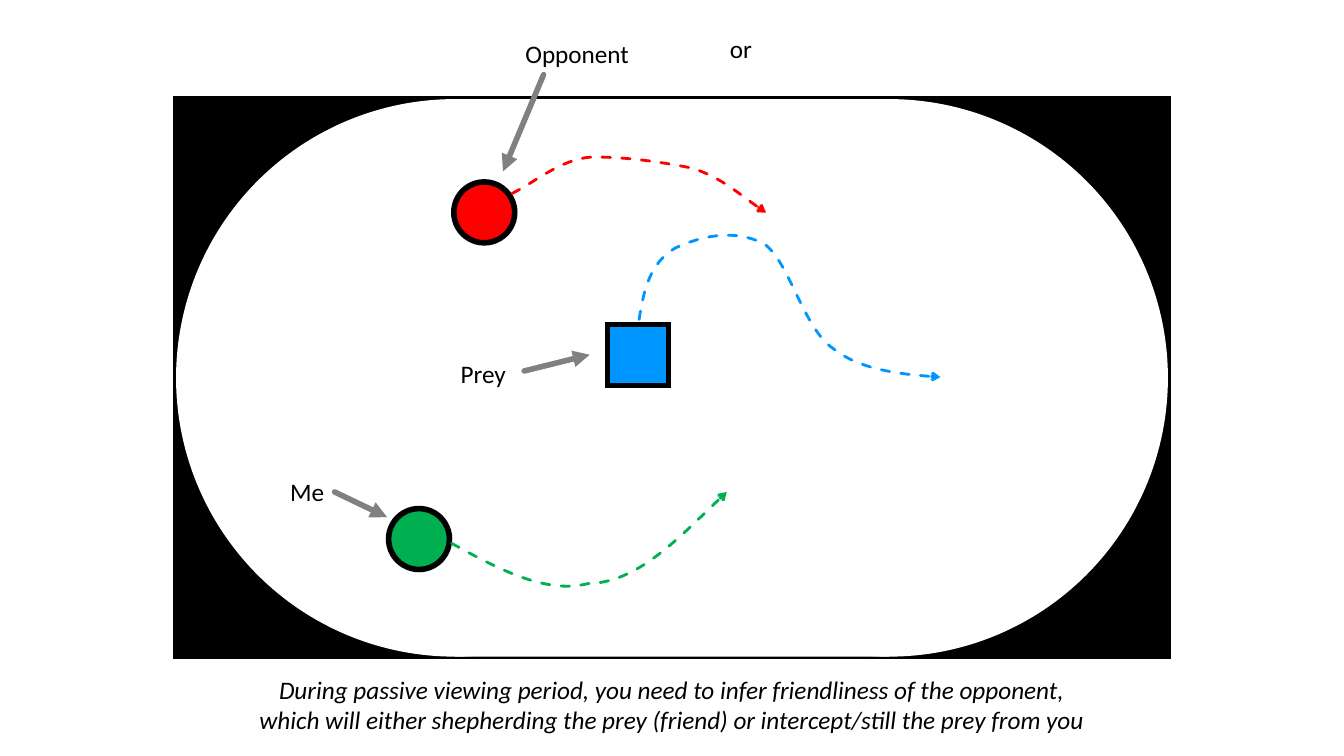
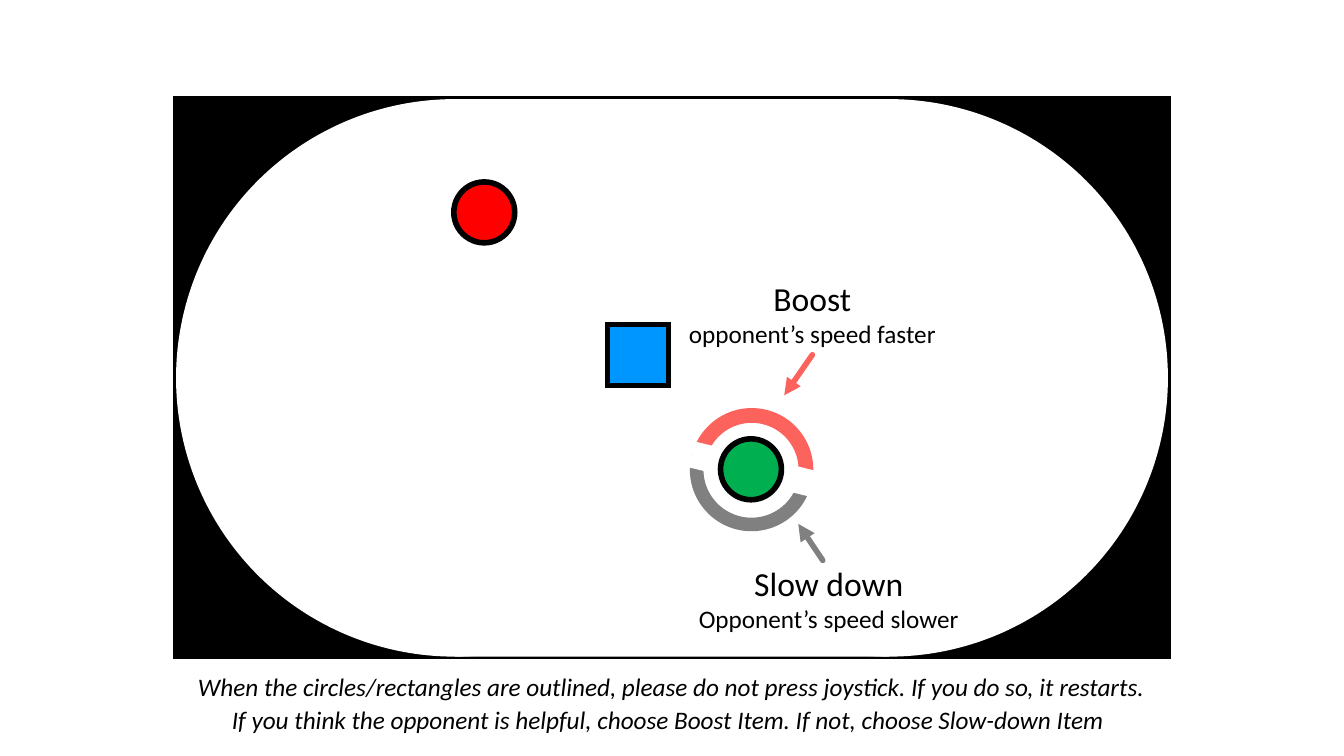
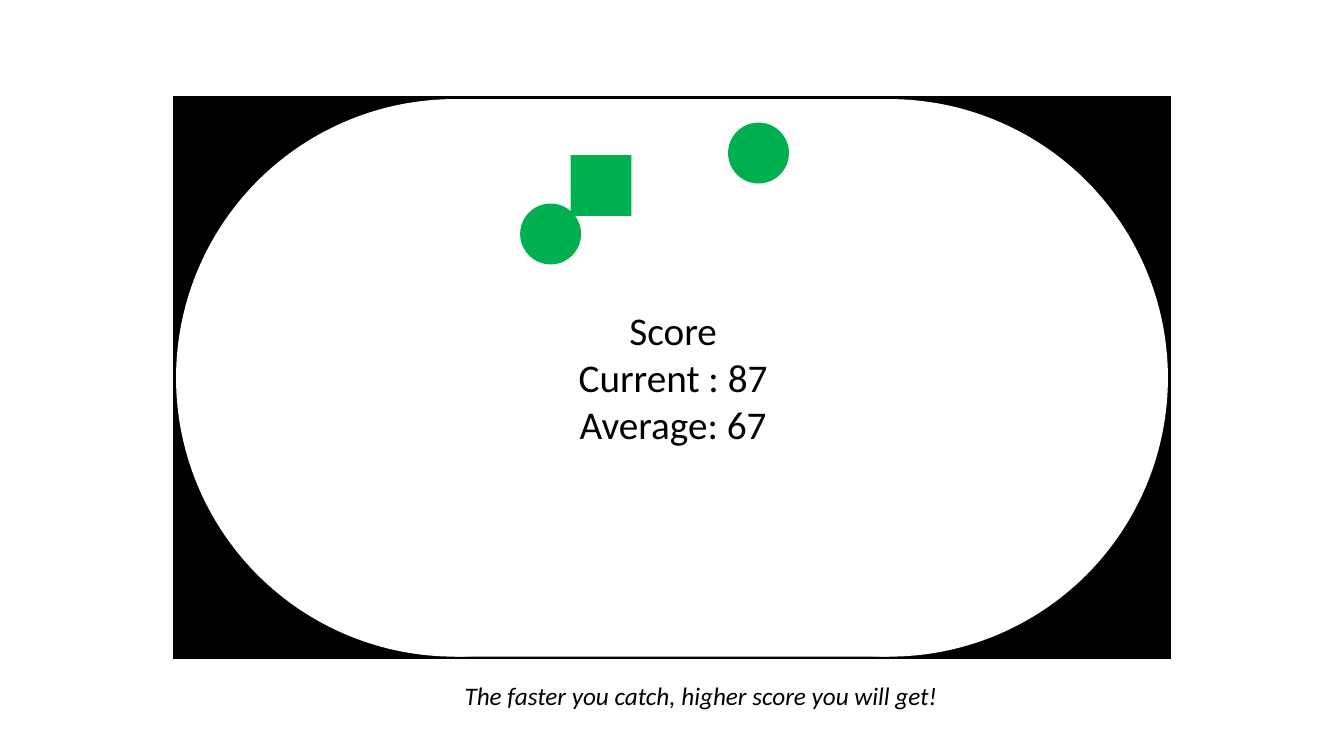
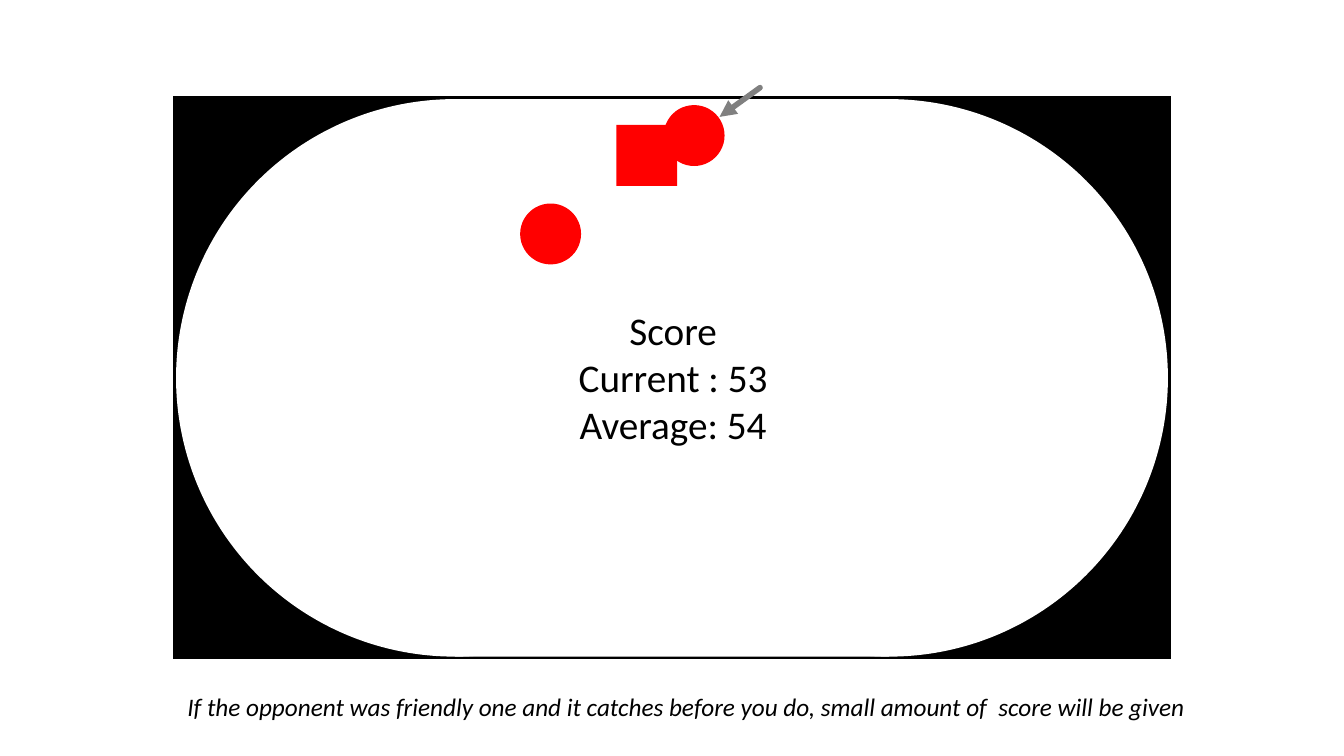
"""Builds four instruction slides for a chase game played in a rounded arena."""
import pptx
import pptx.util
import pptx.dml.color
import pptx.enum.dml
import pptx.enum.shapes
import pptx.enum.text
import pptx.oxml.ns

Pt = pptx.util.Pt
RGBColor = pptx.dml.color.RGBColor
SHAPE = pptx.enum.shapes.MSO_SHAPE
qn = pptx.oxml.ns.qn

BLACK = RGBColor(0x00, 0x00, 0x00)
WHITE = RGBColor(0xFF, 0xFF, 0xFF)
GREEN = RGBColor(0x00, 0xB0, 0x50)
RED = RGBColor(0xFF, 0x00, 0x00)
BLUE = RGBColor(0x00, 0x96, 0xFF)
GRAY = RGBColor(0x80, 0x80, 0x80)
CORAL = RGBColor(0xFC, 0x63, 0x5D)

FONT = "Calibri"
BODY, HEADING, SCORE = 18, 24, 28
OUTLINE = 4
TOKEN_SIZE = 43.5
ARENA_LEFT, ARENA_TOP, ARENA_WIDTH, ARENA_HEIGHT = 125.75, 70.8, 708.5, 398.25
RING_ROTATION = 13.6

OPPONENT = (SHAPE.OVAL, 345.9, 151.7, RED)
PREY = (SHAPE.RECTANGLE, 455.7, 253.6, BLUE)

SLIDES = [
    {
        "outlined": True,
        "tokens": [(SHAPE.OVAL, 299.3, 385, GREEN), OPPONENT, PREY],
        "trails": [
            (BLUE, [(456.5, 228.2), (460.1, 205.9), (464.4, 187.9), (482.4, 177.1),
                    (499.7, 169.2), (523.4, 162.7), (545.8, 174.2),
                    (563.8, 186.5), (573.8, 234.7), (595.4, 249.1),
                    (613.4, 263.5), (645.8, 267.8), (671.8, 269.3)]),
            (GREEN, [(322.6, 388.1), (354.2, 405.4), (389.5, 424.8), (419.8, 416.9),
                     (455, 416.2), (486, 383), (519.1, 351.4)]),
            (RED, [(365.8, 138.2), (383, 129.6), (399.6, 114.5), (421.2, 112.3),
                   (444.2, 111.6), (473.8, 115.9), (494.6, 120.2),
                   (514.8, 126.7), (529.9, 140.4), (547.2, 151.9)]),
        ],
        "labels": [
            ([("Me", BODY)], 219.4, 337, 39),
            ([("Opponent", BODY)], 412.3, 23.8, 89),
            ([("Prey", BODY)], 345.2, 252.7, 47),
            ([("or", BODY)], 529.2, 20.2, 30),
        ],
        "arrows": [
            (GRAY, (239, 351.4), (276.5, 369.4)),
            (GRAY, (388.3, 53.3), (359.3, 122.4)),
            (GRAY, (374.4, 265), (421.2, 253.4)),
        ],
        "captions": [
            (["During passive viewing period, you need to infer friendliness of the opponent,",
              "which will either shepherding the prey (friend) or intercept/still the prey from you"],
             479.9, 478, 610),
        ],
    },
    {
        "outlined": True,
        "ring": True,
        "tokens": [(SHAPE.OVAL, 536.4, 335.2, GREEN), OPPONENT, PREY],
        "labels": [
            ([("Boost", HEADING), ("opponent’s speed faster", BODY)], 580.2, 195, 193),
            ([("Slow down", HEADING), ("Opponent’s speed slower", BODY)], 592, 398.5, 202),
        ],
        "arrows": [
            (CORAL, (580.3, 253.4), (560.2, 282.4)),
            (GRAY, (587.7, 400.3), (570.2, 374.2)),
        ],
        "captions": [
            (["When the circles/rectangles are outlined, please do not press joystick. "
              "If you do so, it restarts."], 479.6, 476, 710),
            (["If you think the opponent is helpful, choose Boost Item. "
              "If not, choose Slow-down Item"], 477.1, 499.7, 639),
        ],
    },
    {
        "tokens": [(SHAPE.OVAL, 541.8, 109.3, GREEN),
                   (SHAPE.RECTANGLE, 429.3, 132.5, GREEN),
                   (SHAPE.OVAL, 393.3, 167.1, GREEN)],
        "labels": [([("Score", SCORE), ("Current : 87", SCORE), ("Average: 67", SCORE)],
                    480.8, 215.3, 151)],
        "captions": [(["The faster you catch, higher score you will get!"], 500.7, 482.4, 356)],
    },
    {
        "tokens": [(SHAPE.RECTANGLE, 462, 111, RED),
                   (SHAPE.OVAL, 495.8, 96.8, RED),
                   (SHAPE.OVAL, 393.3, 167.1, RED)],
        "labels": [([("Score", SCORE), ("Current : 53", SCORE), ("Average: 54", SCORE)],
                    480.8, 215.3, 151)],
        "arrows": [(GRAY, (542.9, 62.6), (514, 83.5))],
        "captions": [
            (["If the opponent was friendly one and it catches before you do, "
              "small amount of  score will be given"], 490.2, 490.3, 735),
        ],
    },
]


def add_line_part(line, tag, **attributes):
    properties = line._get_or_add_ln()
    properties.append(properties.makeelement(qn(tag), attributes))
    return properties


def add_shape(slide, kind, left, top, width, height, fill, outlined=False):
    shape = slide.shapes.add_shape(kind, Pt(left), Pt(top), Pt(width), Pt(height))
    shape.shadow.inherit = False
    shape.fill.solid()
    shape.fill.fore_color.rgb = fill
    if outlined:
        shape.line.color.rgb = BLACK
        shape.line.width = Pt(OUTLINE)
        add_line_part(shape.line, "a:miter", lim="800000")
    else:
        shape.line.fill.background()
    return shape


def add_arena(slide):
    right_circle = ARENA_LEFT + ARENA_WIDTH - ARENA_HEIGHT
    middle = ARENA_LEFT + ARENA_HEIGHT / 2
    for kind, left, width, fill in [
        (SHAPE.RECTANGLE, ARENA_LEFT, ARENA_WIDTH, BLACK),
        (SHAPE.OVAL, ARENA_LEFT, ARENA_HEIGHT, WHITE),
        (SHAPE.OVAL, right_circle, ARENA_HEIGHT, WHITE),
        (SHAPE.RECTANGLE, middle, ARENA_WIDTH - ARENA_HEIGHT, WHITE),
    ]:
        add_shape(slide, kind, left, ARENA_TOP, width, ARENA_HEIGHT, fill, fill == BLACK)


def add_ring(slide):
    for left, fill, adjustments in [(493, CORAL, (109.93, 0.98, 0.12)),
                                    (492.8, GRAY, (0.23, 109.2, 0.11))]:
        arc = add_shape(slide, SHAPE.BLOCK_ARC, left, 291.5, 88, 88, fill)
        for index, value in enumerate(adjustments):
            arc.adjustments[index] = value
        arc.rotation = RING_ROTATION
    gap = add_shape(slide, SHAPE.RECTANGLE, 492.6, 326, 93, 19, WHITE)
    gap.rotation = RING_ROTATION


def format_line(line, color, width, head):
    line.color.rgb = color
    line.width = Pt(width)
    add_line_part(line, "a:tailEnd", type=head).set("cap", "rnd")


def add_trail(slide, color, points):
    points = [(Pt(x), Pt(y)) for x, y in points]
    builder = slide.shapes.build_freeform(*points[0], scale=1.0)
    builder.add_line_segments(points[1:], close=False)
    trail = builder.convert_to_shape()
    trail.shadow.inherit = False
    trail.fill.background()
    trail.line.dash_style = pptx.enum.dml.MSO_LINE.DASH
    format_line(trail.line, color, 2, "arrow")
    segments = list(trail._element.iter(qn("a:lnTo")))
    for start in range(0, len(segments), 3):
        curve = segments[start].makeelement(qn("a:cubicBezTo"), {})
        segments[start].addprevious(curve)
        for segment in segments[start:start + 3]:
            curve.append(segment[0])
            segment.getparent().remove(segment)


def add_arrow(slide, color, start, end):
    arrow = slide.shapes.add_connector(
        pptx.enum.shapes.MSO_CONNECTOR.STRAIGHT, *map(Pt, start + end))
    format_line(arrow.line, color, OUTLINE, "triangle")
    properties = arrow._element.spPr
    properties.append(properties.makeelement(qn("a:effectLst"), {}))


def add_text(slide, lines, center, top, width, italic=False):
    height = 7.2 + sum(size * 1.22 for _, size in lines)
    box = slide.shapes.add_textbox(Pt(center - width / 2), Pt(top), Pt(width), Pt(height))
    frame = box.text_frame
    frame.word_wrap = False
    frame.auto_size = pptx.enum.text.MSO_AUTO_SIZE.SHAPE_TO_FIT_TEXT
    frame.text = "\n".join(text for text, _ in lines)
    for paragraph, (_, size) in zip(frame.paragraphs, lines):
        paragraph.alignment = pptx.enum.text.PP_ALIGN.CENTER
        font = paragraph.runs[0].font
        font.name = FONT
        font.size = Pt(size)
        font.italic = italic
        font.color.rgb = BLACK


def add_game_slide(presentation, content):
    slide = presentation.slides.add_slide(presentation.slide_layouts[6])
    add_arena(slide)
    if content.get("ring"):
        add_ring(slide)
    for kind, x, y, color in content["tokens"]:
        add_shape(slide, kind, x - TOKEN_SIZE / 2, y - TOKEN_SIZE / 2,
                  TOKEN_SIZE, TOKEN_SIZE, color, content.get("outlined", False))
    for trail in content.get("trails", []):
        add_trail(slide, *trail)
    for label in content["labels"]:
        add_text(slide, *label)
    for arrow in content.get("arrows", []):
        add_arrow(slide, *arrow)
    for lines, center, top, width in content["captions"]:
        add_text(slide, [(line, BODY) for line in lines], center, top, width, italic=True)


def main():
    presentation = pptx.Presentation()
    presentation.slide_width = Pt(960)
    presentation.slide_height = Pt(540)
    for content in SLIDES:
        add_game_slide(presentation, content)
    presentation.save("out.pptx")


if __name__ == "__main__":
    main()
